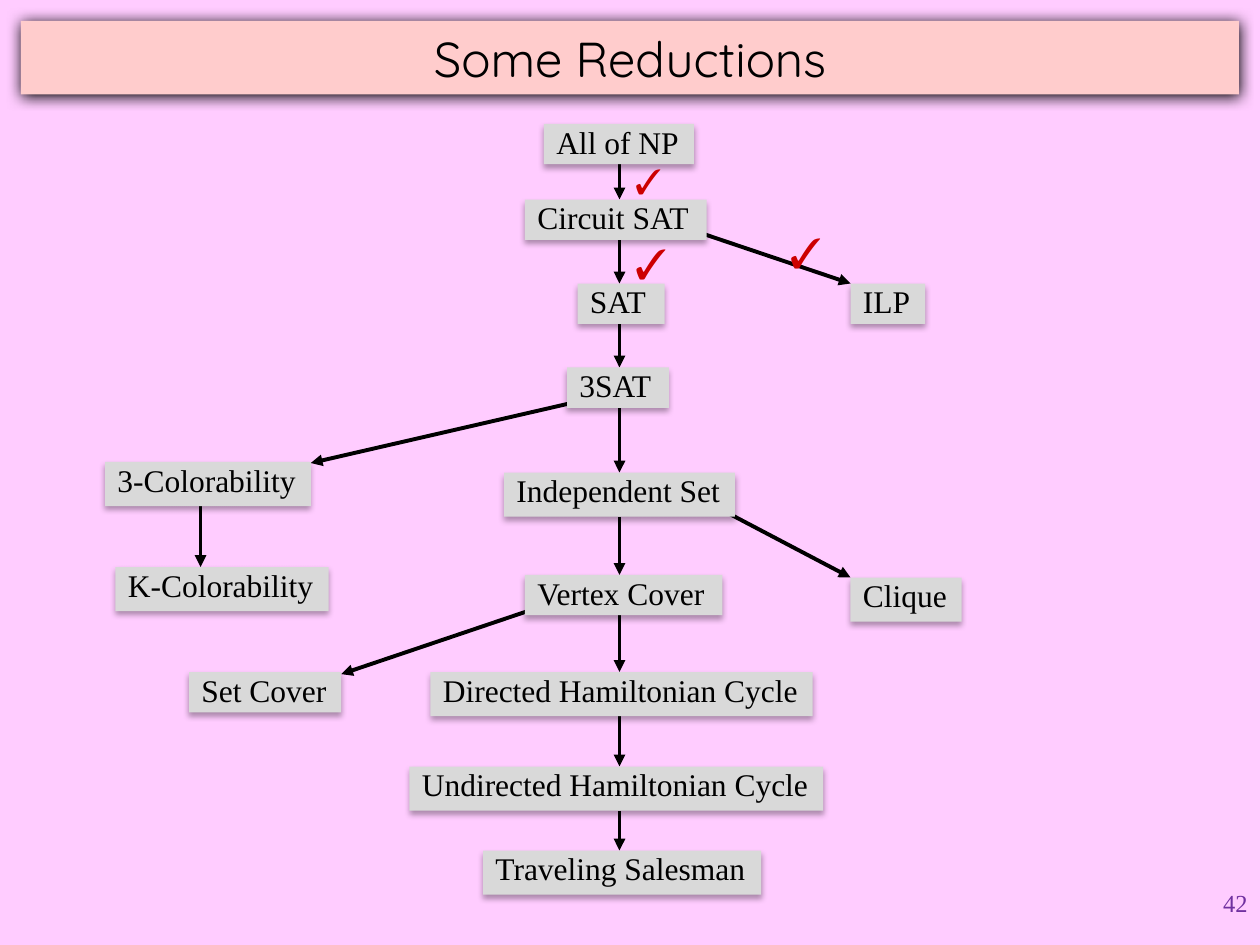
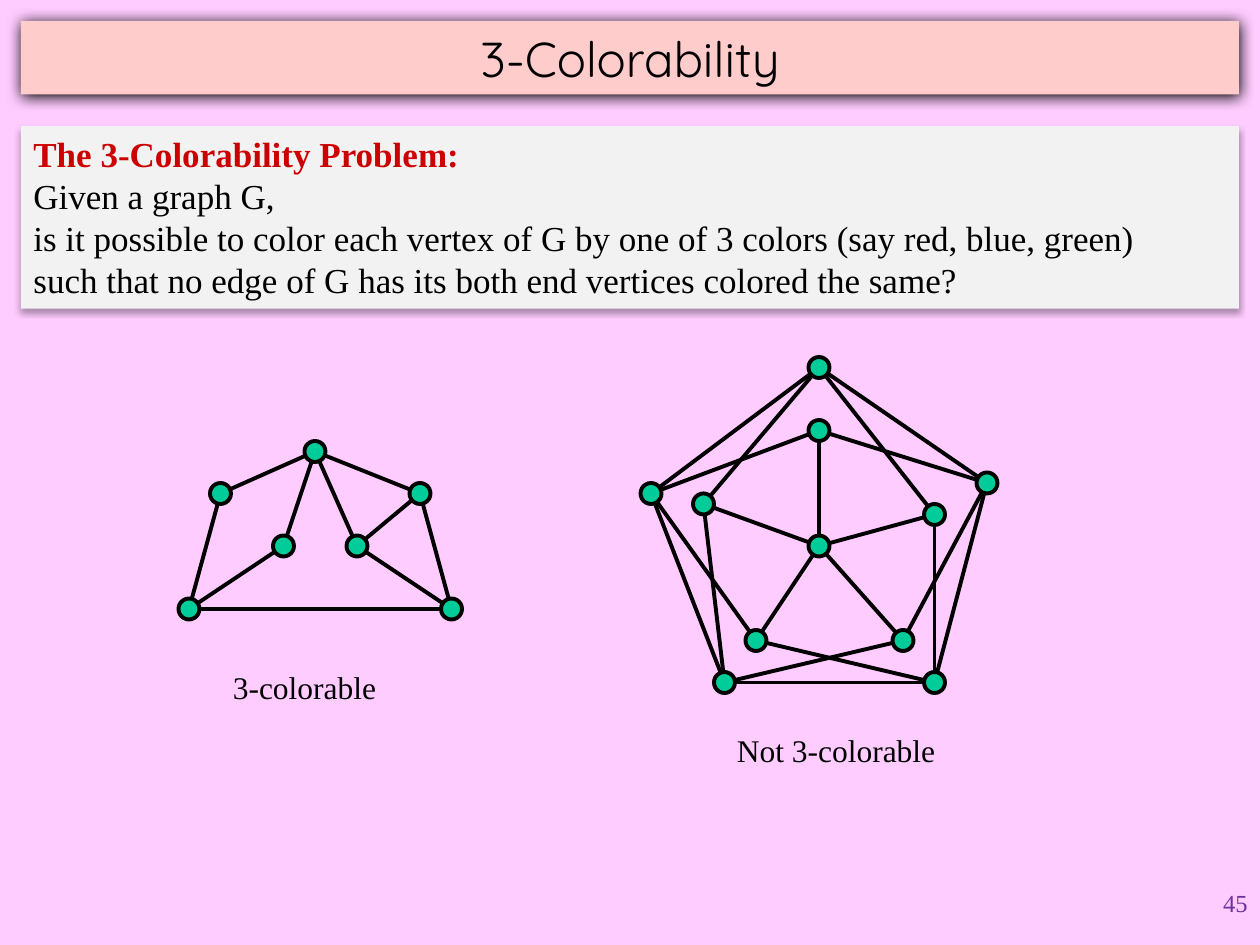
"""Build two slides about reductions and 3-colorability."""
import pptx
import pptx.dml.color
import pptx.enum.shapes
import pptx.enum.text
import pptx.oxml
import pptx.oxml.ns
import pptx.util

SHAPES = pptx.enum.shapes.MSO_SHAPE
ALIGN = pptx.enum.text.PP_ALIGN
ANCHOR = pptx.enum.text.MSO_ANCHOR
GRID = 2.54 / 12
COLORS = {"background": "FFCCFF", "title": "FFCCCC", "box": "D9D9D9", "panel": "F2F2F2",
          "ink": "000000", "accent": "CC0000", "number": "7030A0", "vertex": "00CC99"}
TITLE_SHADOW = {"alpha": 100, "blur": 8.5, "distance": 1}
SOFT_SHADOW = {"alpha": 32, "blur": 3.5, "distance": 2.2}
SERIF = "Times New Roman"

LOW, HIGH = 3.84, 4.2
CHAIN = [
    ("All of NP", 51.8, 11.8, 14.3, LOW),
    ("Circuit SAT", 50, 19, 17.3, LOW),
    ("SAT", 55, 27, 8.3, LOW),
    ("3SAT", 54, 35, 9.7, LOW),
    ("Independent Set", 48, 45, 22, HIGH),
    ("Vertex Cover", 50, 54.75, 18.8, LOW),
    ("Directed Hamiltonian Cycle", 41, 64, 36.4, HIGH),
    ("Undirected Hamiltonian Cycle", 39, 73, 39.4, HIGH),
    ("Traveling Salesman", 46, 81, 26.5, HIGH),
]
BRANCHES = [
    ("ILP", 81, 27, 7.1, LOW),
    ("3-Colorability", 10, 44, 19.6, HIGH),
    ("K-Colorability", 11, 54, 20.3, HIGH),
    ("Clique", 81, 55, 10.6, HIGH),
    ("Set Cover", 18, 64, 14.5, LOW),
]
BRANCH_ARROWS = [
    ((63.2, 21), (81, 27)),
    ((61.3, 36.8), (29.6, 44.1)),
    ((19.1, 47.8), (19.1, 54)),
    ((67.3, 47.8), (81, 55)),
    ((55, 56.6), (32.5, 64.2)),
]
CHECKS = [(59.3, 14.6, 4.9, 5.2, 20), (59.3, 22, 5.3, 6.1, 24), (74, 21, 5.5, 6, 24)]

COLORABLE = {
    "vertices": {"apex": (30, 43), "west": (21, 47), "east": (40, 47), "inner west": (27, 52),
                 "inner east": (34, 52), "southwest": (18, 58), "southeast": (43, 58)},
    "edges": {"apex": ["west", "east", "inner west", "inner east"],
              "southwest": ["west", "inner west", "southeast"],
              "southeast": ["east", "inner east"],
              "east": ["inner east"]},
}
NOT_COLORABLE = {
    "vertices": {"apex": (78, 35), "west": (62, 47), "east": (94, 46),
                 "southwest": (69, 65), "southeast": (89, 65), "hub": (78, 52),
                 "inner apex": (78, 41), "inner west": (67, 48), "inner east": (89, 49),
                 "inner southwest": (72, 61), "inner southeast": (86, 61)},
    "edges": {"hub": ["inner apex", "inner west", "inner east", "inner southwest",
                      "inner southeast"],
              "apex": ["west", "east", "inner west", "inner east"],
              "west": ["southwest", "inner apex", "inner southwest"],
              "east": ["southeast", "inner apex", "inner southeast"],
              "southwest": ["southeast", "inner west", "inner southeast"],
              "southeast": ["inner east", "inner southwest"]},
}


def grid(*units):
    """Turn grid units into lengths."""
    return [pptx.util.Cm(unit * GRID) for unit in units]


def color(hex_string):
    """Turn a hex string into a colour."""
    return pptx.dml.color.RGBColor.from_string(hex_string)


def set_attributes(target, values):
    """Set each named value on the target."""
    for name, value in values.items():
        setattr(target, name, value)


def add_shadow(shape, alpha, blur, distance):
    """Give a shape a black shadow that falls downwards."""
    effects = shape._element.spPr.find(pptx.oxml.ns.qn("a:effectLst"))
    effects.append(pptx.oxml.parse_xml(
        f'<a:outerShdw {pptx.oxml.ns.nsdecls("a")} blurRad="{pptx.util.Pt(blur)}" '
        f'dist="{pptx.util.Pt(distance)}" dir="5400000" algn="t" rotWithShape="0">'
        f'<a:srgbClr val="{COLORS["ink"]}"><a:alpha val="{alpha * 1000}"/></a:srgbClr>'
        '</a:outerShdw>'))


def add_shape(slide, kind, bounds, fill, shadow=None, outlined=False):
    """Add a filled preset shape."""
    shape = slide.shapes.add_shape(kind, *grid(*bounds))
    shape.shadow.inherit = False
    shape.fill.solid()
    shape.fill.fore_color.rgb = color(fill)
    if outlined:
        shape.line.color.rgb = color(COLORS["ink"])
        shape.line.width = pptx.util.Pt(2.25)
    else:
        shape.line.fill.background()
    if shadow:
        add_shadow(shape, **shadow)
    return shape


def write(shape, paragraphs, align=ALIGN.LEFT, anchor=ANCHOR.TOP, spacing=1.0, bottom=0.6):
    """Write (text, size, colour, bold, font) paragraphs into a shape."""
    frame = shape.text_frame
    side, edge = grid(1.2, 0.6)
    set_attributes(frame, {"word_wrap": True, "vertical_anchor": anchor, "margin_left": side,
                           "margin_right": side, "margin_top": edge,
                           "margin_bottom": grid(bottom)[0]})
    for index, (text, size, ink, bold, font) in enumerate(paragraphs):
        paragraph = frame.add_paragraph() if index else frame.paragraphs[0]
        paragraph.text = text
        set_attributes(paragraph, {"alignment": align, "line_spacing": spacing})
        for run in paragraph.runs:
            set_attributes(run.font, {"size": pptx.util.Pt(size), "bold": bold, "name": font})
            run.font.color.rgb = color(ink)


def add_text(slide, bounds, text, size, ink=COLORS["ink"], bold=False, align=ALIGN.LEFT):
    """Add a plain text box."""
    box = slide.shapes.add_textbox(*grid(*bounds))
    write(box, [(text, size, ink, bold, SERIF)], align)


def add_line(slide, start, end, arrow=False):
    """Add a straight black line, with an arrowhead at its end if asked."""
    line = slide.shapes.add_connector(
        pptx.enum.shapes.MSO_CONNECTOR.STRAIGHT, *grid(*start, *end))
    line.line.color.rgb = color(COLORS["ink"])
    line.line.width = pptx.util.Pt(2.25)
    namespace = pptx.oxml.ns.nsdecls("a")
    if arrow:
        line.line._get_or_add_ln().append(
            pptx.oxml.parse_xml(f'<a:tailEnd {namespace} type="triangle"/>'))
    line._element.spPr.append(pptx.oxml.parse_xml(f"<a:effectLst {namespace}/>"))


def add_slide(presentation, title, number):
    """Add a slide with background, title band and page number."""
    slide = presentation.slides.add_slide(presentation.slide_layouts[6])
    slide.background.fill.solid()
    slide.background.fill.fore_color.rgb = color(COLORS["background"])
    band = add_shape(slide, SHAPES.RECTANGLE, (2, 2, 116, 7), COLORS["title"], TITLE_SHADOW)
    write(band, [(title, 28, COLORS["ink"], False, "Quicksand")], ALIGN.CENTER, ANCHOR.MIDDLE)
    add_text(slide, (95, 84, 25, 6), number, 14, COLORS["number"], align=ALIGN.RIGHT)
    return slide


def add_problem(slide, name, left, top, width, height):
    """Add the box of one problem."""
    box = add_shape(slide, SHAPES.RECTANGLE, (left, top, width, height), COLORS["box"],
                    SOFT_SHADOW)
    write(box, [(name, 18, COLORS["ink"], False, SERIF)], spacing=0.8,
          bottom=0.1 if height == LOW else 0.6)


def add_graph(slide, vertices, edges):
    """Draw the edges of a graph and then its vertices."""
    for start, ends in edges.items():
        for end in ends:
            add_line(slide, vertices[start], vertices[end])
    for x, y in vertices.values():
        add_shape(slide, SHAPES.OVAL, (x - 1, y - 1, 2, 2), COLORS["vertex"], outlined=True)


def build_reductions(presentation):
    """Build the slide with the tree of reductions."""
    slide = add_slide(presentation, "Some Reductions", "42")
    for upper, lower in zip(CHAIN, CHAIN[1:]):
        add_line(slide, (59, upper[2] + upper[4]), (59, lower[2]), arrow=True)
    for start, end in BRANCH_ARROWS:
        add_line(slide, start, end, arrow=True)
    for problem in CHAIN + BRANCHES:
        add_problem(slide, *problem)
    for *bounds, size in CHECKS:
        add_text(slide, bounds, "\u2713", size, COLORS["accent"], True, ALIGN.CENTER)


def build_colorability(presentation):
    """Build the slide with the problem statement and two graphs."""
    slide = add_slide(presentation, "3-Colorability", "45")
    panel = add_shape(slide, SHAPES.RECTANGLE, (2, 12, 116, 17.4), COLORS["panel"], SOFT_SHADOW)
    question = ("Given a graph G, \v"
                "is it possible to color each vertex of G by one of 3 colors "
                "(say red, blue, green) \v"
                "such that no edge of G has its both end vertices colored the same? ")
    write(panel, [("The 3-Colorability Problem:", 20, COLORS["accent"], True, SERIF),
                  (question, 20, COLORS["ink"], False, SERIF)])
    add_graph(slide, **COLORABLE)
    add_graph(slide, **NOT_COLORABLE)
    add_text(slide, (21, 63, 17, 5.3), "3-colorable", 18)
    add_text(slide, (69, 69, 22, 5.3), "Not 3-colorable", 18)


def main():
    """Build and save the presentation."""
    presentation = pptx.Presentation()
    width, height = grid(120, 90)
    set_attributes(presentation, {"slide_width": width, "slide_height": height})
    build_reductions(presentation)
    build_colorability(presentation)
    presentation.save("out.pptx")


main()
